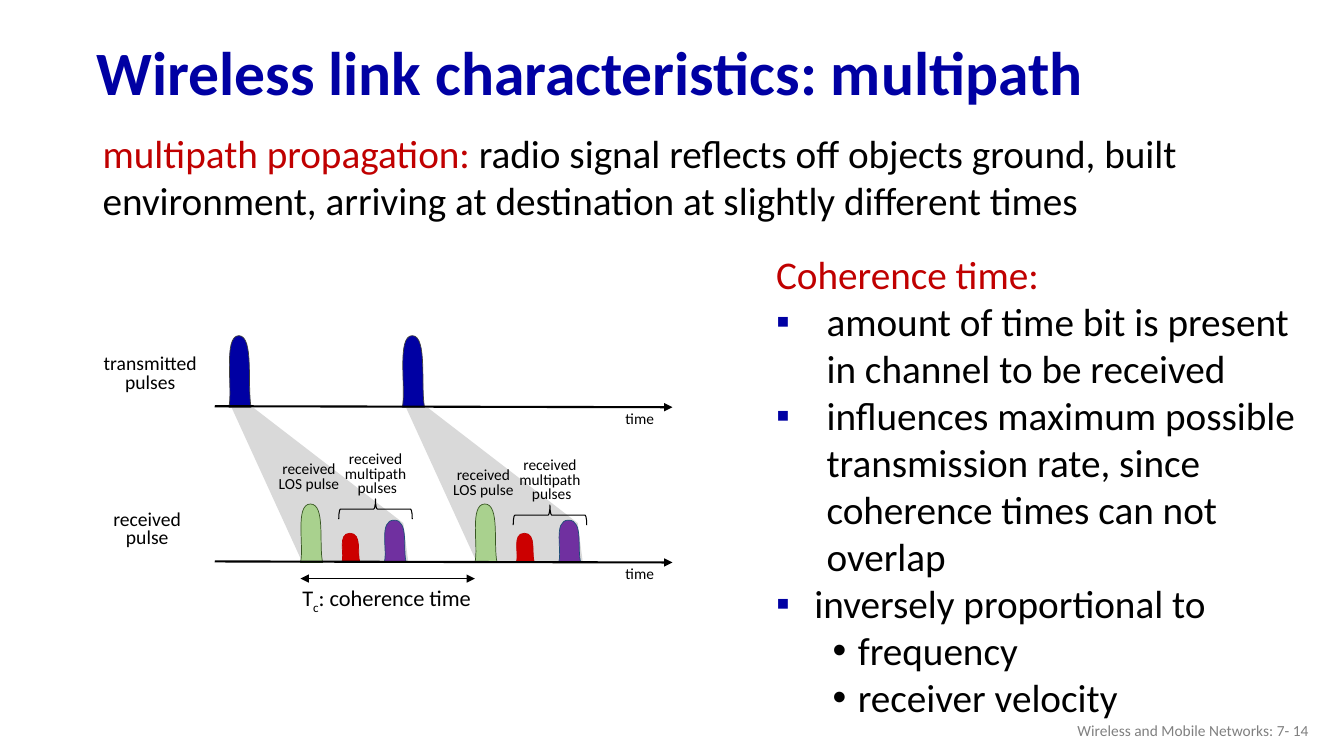
from lxml.etree import SubElement
from pptx import Presentation
from pptx.dml.color import RGBColor
from pptx.enum.shapes import MSO_CONNECTOR, MSO_SHAPE
from pptx.enum.text import MSO_ANCHOR, PP_ALIGN
from pptx.oxml.ns import qn
from pptx.util import Inches, Pt

FONT = "Calibri"
BLUE, RED, BLACK, GRAY = "0000A3", "C00000", "000000", "808080"
PULSE_CORNERS = [(0, 1), (0.45, 0), (1, 1)]
PULSE_CONTROLS = [[(0.18, 0.75), (-0.27, 0)], [(1.14, 0), (0.82, 0.7)]]
SENT_AXIS, RECEIVED_AXIS = 4.04, 5.58
PULSE_WIDTH = 0.22


def color(hex_string):
    """Turn a hex string into a colour."""
    return RGBColor.from_string(hex_string)


def add_text(slide, box, paragraphs, size, align=PP_ALIGN.LEFT, wrap=True,
             spacing=None, bold=False, anchor=MSO_ANCHOR.TOP):
    """Add a text box whose paragraphs are lists of (text, colour) runs."""
    frame = slide.shapes.add_textbox(*map(Inches, box)).text_frame
    frame.word_wrap = wrap
    frame.vertical_anchor = anchor
    for index, runs in enumerate(paragraphs):
        paragraph = frame.add_paragraph() if index else frame.paragraphs[0]
        paragraph.alignment = align
        paragraph.line_spacing = spacing
        paragraph.font.name, paragraph.font.size = FONT, Pt(size)
        paragraph.font.bold = bold
        for text, run_color in runs:
            run = paragraph.add_run()
            run.text = text
            run.font.color.rgb = color(run_color)
    return frame


def add_label(slide, box, lines, size):
    """Add a tight, centred diagram label."""
    add_text(slide, box, [[(line, BLACK)] for line in lines], size,
             PP_ALIGN.CENTER, wrap=False, spacing=0.8)


def set_bullet(paragraph, character, margin, indent, bullet_color):
    """Give a paragraph a hanging bullet."""
    properties = paragraph._p.get_or_add_pPr()
    properties.set("marL", str(Inches(margin)))
    properties.set("indent", str(Inches(-indent)))
    fill = properties.makeelement(qn("a:buClr"))
    SubElement(fill, qn("a:srgbClr")).set("val", bullet_color)
    font = properties.makeelement(qn("a:buFont"), {"typeface": "Arial"})
    mark = properties.makeelement(qn("a:buChar"), {"char": character})
    properties.insert_element_before(fill, "a:defRPr")
    properties.insert_element_before(font, "a:defRPr")
    properties.insert_element_before(mark, "a:defRPr")


def add_outline(slide, points, fill, line=None):
    """Add a filled closed outline through points in inches."""
    corners = [(Inches(x), Inches(y)) for x, y in points]
    builder = slide.shapes.build_freeform(*corners[0])
    builder.add_line_segments(corners[1:], close=True)
    shape = builder.convert_to_shape()
    shape.shadow.inherit = False
    shape.fill.solid()
    shape.fill.fore_color.rgb = color(fill)
    if line:
        shape.line.color.rgb = color(line)
        shape.line.width = Pt(0.5)
    else:
        shape.line.fill.background()
    return shape


def add_pulse(slide, left, bottom, width, height, fill, line):
    """Add a rounded pulse standing on a time axis."""
    shape = add_outline(slide, [(left + x * width, bottom - (1 - y) * height)
                                for x, y in PULSE_CORNERS], fill, line)
    sides = list(shape._element.iter(qn("a:lnTo")))
    for side, controls in zip(sides, PULSE_CONTROLS):
        side.tag = qn("a:cubicBezTo")
        for index, (x, y) in enumerate(controls):
            point = side.makeelement(qn("a:pt"), {
                "x": str(Inches(x * width)), "y": str(Inches(y * height))})
            side.insert(index, point)


def add_arrow(slide, start, end, width, both_ends=False):
    """Add a black line with triangular arrowheads."""
    connector = slide.shapes.add_connector(
        MSO_CONNECTOR.STRAIGHT, *map(Inches, start + end))
    connector.line.color.rgb = color(BLACK)
    connector.line.width = Pt(width)
    line = connector.line._get_or_add_ln()
    for tag in ("a:headEnd", "a:tailEnd") if both_ends else ("a:tailEnd",):
        SubElement(line, qn(tag)).set("type", "triangle")
    SubElement(connector._element.spPr, qn("a:effectLst"))


def add_brace(slide, left, top, width, height):
    """Add a brace that opens downwards over the given area."""
    inset = (width - height) / 2
    brace = slide.shapes.add_shape(
        MSO_SHAPE.RIGHT_BRACE, Inches(left + inset), Inches(top - inset),
        Inches(height), Inches(width))
    brace.rotation = 270
    brace.shadow.inherit = False
    brace.fill.background()
    brace.line.color.rgb = color(BLACK)
    brace.line.width = Pt(0.75)


def add_reception(slide, left, label_drop):
    """Add the spread of one sent pulse and the pulses received from it."""
    spread = [(0.01, 5.56), (-0.68, 4.05), (-0.46, 4.05),
              (1.02, 5.19), (1.07, 5.58)]
    add_outline(slide, [(left + x, y) for x, y in spread], "D9D9D9")
    for offset, width, height, fill, line in (
            (0, PULSE_WIDTH, 0.58, "A9D18E", "385723"),
            (0.41, 0.18, 0.29, "CC0000", RED),
            (0.83, PULSE_WIDTH, 0.42, "7030A0", "1F4E79")):
        add_pulse(slide, left + offset, RECEIVED_AXIS, width, height, fill, line)
    add_label(slide, (left - 0.32, 4.54 + label_drop, 0.81, 0.4),
              ["received", "LOS pulse"], 11)
    add_brace(slide, left + 0.38, 4.95 + label_drop, 0.73, 0.2)
    add_label(slide, (left + 0.34, 4.44 + label_drop, 0.81, 0.55),
              ["received", "multipath", " pulses"], 11)


def add_coherence_text(slide):
    """Add the bulleted notes on coherence time."""
    square, dot = ("▪", 0.5, 0.5, BLUE), ("•", 0.81, 0.25, BLACK)
    items = [
        ("amount of time bit is present in channel to be received", square),
        ("influences maximum possible transmission rate, since coherence "
         "times can not overlap", square),
        ("inversely proportional to", ("▪", 0.38, 0.38, BLUE)),
        ("frequency", dot),
        ("receiver velocity", dot),
    ]
    paragraphs = [[("Coherence time:", RED)]]
    paragraphs += [[(text, BLACK)] for text, bullet in items]
    frame = add_text(slide, (7.6, 2.43, 5.43, 4.81), paragraphs, 28)
    for paragraph, (text, bullet) in zip(frame.paragraphs[1:], items):
        paragraph.level = int(bullet is dot)
        set_bullet(paragraph, *bullet)


def add_diagram(slide):
    """Add the timing diagram of sent and received pulses."""
    add_arrow(slide, (2.98, 5.74), (4.71, 5.74), 1.25, both_ends=True)
    frame = add_text(slide, (2.9, 5.75, 1.89, 0.37),
                     [[("T", BLACK), ("c", BLACK), (": coherence time", BLACK)]],
                     16, wrap=False)
    subscript = frame.paragraphs[0].runs[1]
    subscript._r.get_or_add_rPr().set("baseline", "-25000")
    add_label(slide, (0.92, 3.48, 1.14, 0.48), ["transmitted", "pulses"], 14)
    add_label(slide, (1.02, 5.02, 0.88, 0.48), ["received", "pulse"], 14)
    for sent, received, label_drop in ((2.27, 2.98, 0), (3.99, 4.71, 0.06)):
        add_pulse(slide, sent, SENT_AXIS, PULSE_WIDTH, 0.71, BLUE, "404040")
        add_reception(slide, received, label_drop)
    for axis in (SENT_AXIS, RECEIVED_AXIS):
        add_arrow(slide, (2.13, axis - 0.01), (6.67, axis), 1.5)
        add_label(slide, (6.1, axis, 0.49, 0.25), ["time"], 11)


def main():
    """Build and save the slide."""
    presentation = Presentation()
    presentation.slide_width = Inches(13.33)
    presentation.slide_height = Inches(7.5)
    slide = presentation.slides.add_slide(presentation.slide_layouts[6])
    add_text(slide, (0.86, 0.26, 11.5, 0.98),
             [[("Wireless link characteristics: multipath", BLUE)]], 44,
             spacing=0.9, bold=True, anchor=MSO_ANCHOR.MIDDLE)
    add_text(slide, (0.92, 1.23, 11.44, 1.5),
             [[("multipath propagation: ", RED),
               ("radio signal reflects off objects ground, built environment, "
                "arriving at destination at slightly different times", BLACK)]],
             28)
    add_coherence_text(slide)
    add_diagram(slide)
    add_text(slide, (10.08, 7.05, 3, 0.4),
             [[("Wireless and Mobile Networks: 7- 14", GRAY)]], 11,
             PP_ALIGN.RIGHT, anchor=MSO_ANCHOR.MIDDLE)
    presentation.save("out.pptx")


if __name__ == "__main__":
    main()
